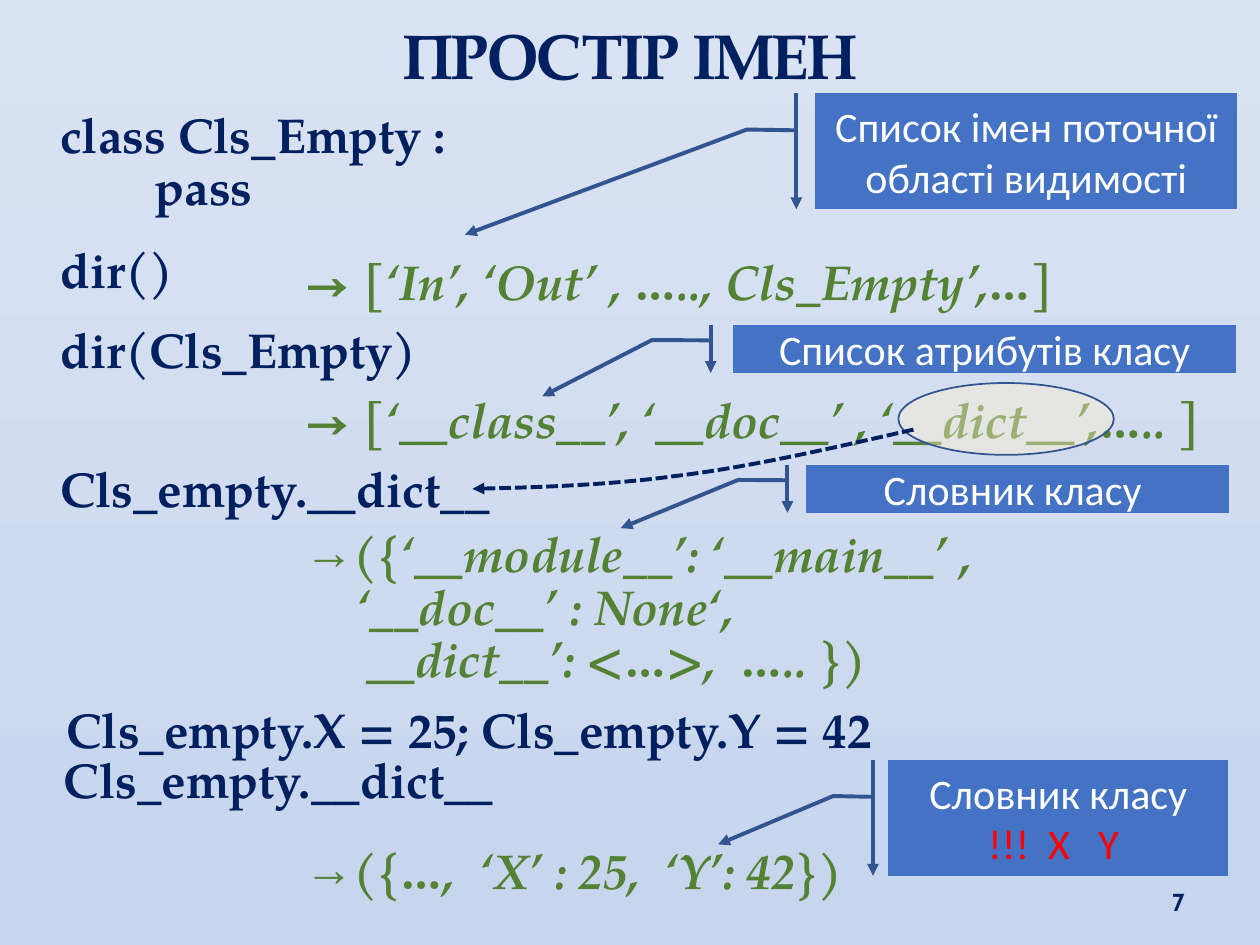
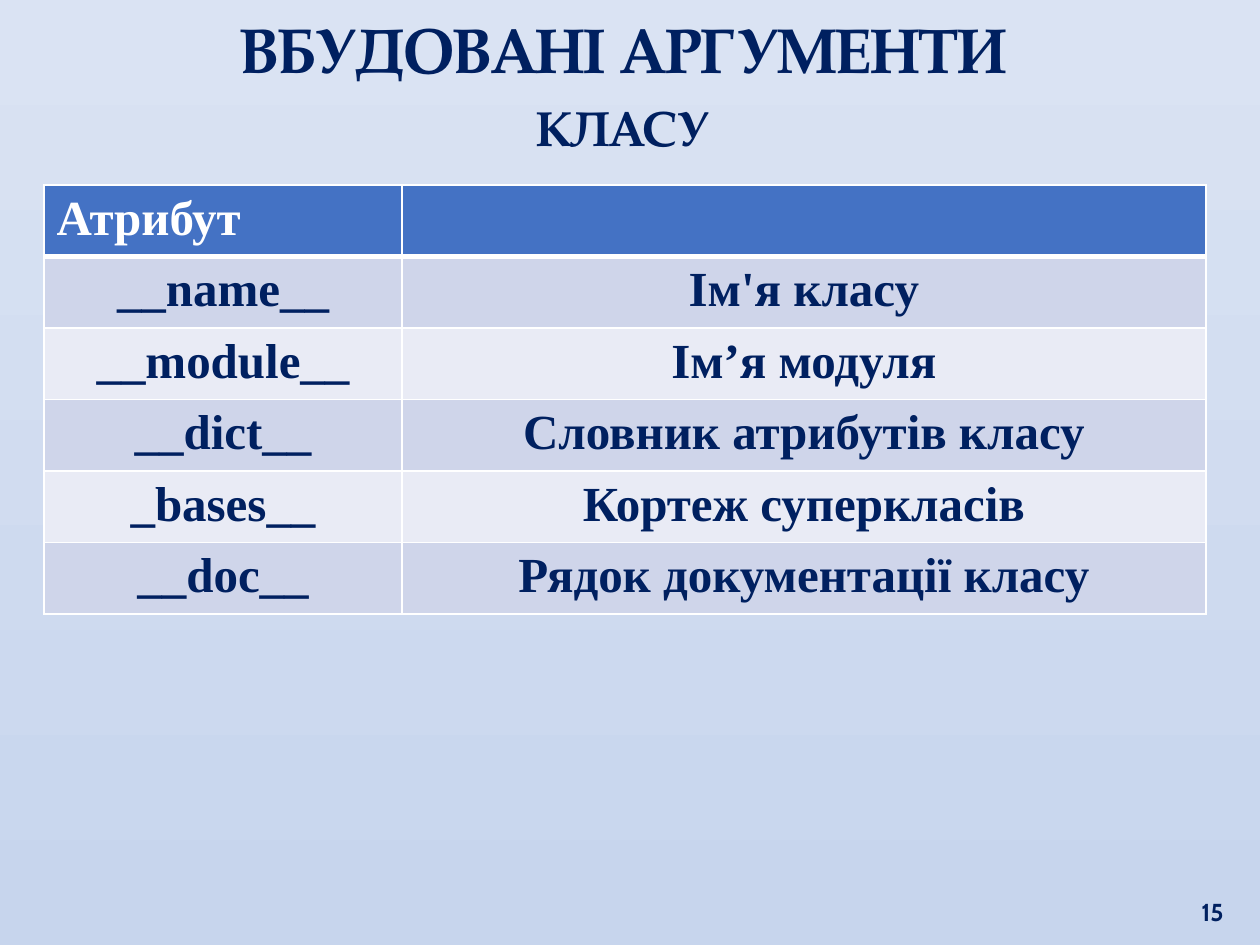
from dataclasses import dataclass, field

from lxml import etree
from pptx import Presentation
from pptx.dml.color import RGBColor
from pptx.enum.dml import MSO_LINE
from pptx.enum.shapes import MSO_SHAPE
from pptx.enum.text import MSO_ANCHOR, MSO_AUTO_SIZE, PP_ALIGN
from pptx.oxml.ns import qn
from pptx.util import Inches, Pt

LEFT, CENTER, RIGHT = PP_ALIGN.LEFT, PP_ALIGN.CENTER, PP_ALIGN.RIGHT
TOP, MIDDLE, BOTTOM = MSO_ANCHOR.TOP, MSO_ANCHOR.MIDDLE, MSO_ANCHOR.BOTTOM
GROW, FIXED = MSO_AUTO_SIZE.SHAPE_TO_FIT_TEXT, MSO_AUTO_SIZE.NONE
CALLOUT, OVAL = MSO_SHAPE.LINE_CALLOUT_2_ACCENT_BAR, MSO_SHAPE.OVAL
DASH = MSO_LINE.SQUARE_DOT
TITLE_ONLY = 5

COLORS = {
    "bg_top": "DAE3F3", "bg_bottom": "C7D5ED", "navy": "002060",
    "green": "548235", "blue": "4472C4", "outline": "325491",
    "white": "FFFFFF", "red": "FF0000", "cream": "FFF2CC",
    "band_dark": "CFD5EA", "band_light": "E9EBF5",
}

SERIF = "TeX Gyre Pagella"
FORMATS = {
    "title": dict(name=SERIF, size=Pt(36), bold=True, color="navy"),
    "subtitle": dict(name=SERIF, size=Pt(28), bold=True, color="navy"),
    "code": dict(name=SERIF, size=Pt(28), bold=True, color="navy"),
    "output": dict(name=SERIF, size=Pt(28), bold=True, italic=True, color="green"),
    "number": dict(name="Cabin", size=Pt(14), bold=True, color="navy"),
    "callout": dict(name="Calibri", size=Pt(24), color="white"),
    "alert": dict(name="Calibri", size=Pt(24), color="red"),
    "header": dict(name="Times New Roman", size=Pt(28), bold=True, color="white"),
    "cell": dict(name="Times New Roman", size=Pt(28), bold=True, color="navy"),
}


def rgb(color):
    return RGBColor.from_string(COLORS[color])


def box(*lengths):
    return [Inches(v) for v in lengths]


def sub(parent, tag, **attrs):
    return etree.SubElement(parent, qn(tag), {k: str(v) for k, v in attrs.items()})


def set_indent(p, left, first=0):
    pPr = p._p.get_or_add_pPr()
    pPr.set("marL", str(Inches(left)))
    pPr.set("indent", str(Inches(first)))
    return pPr


def set_tab(p, position):
    tabs = sub(p._p.get_or_add_pPr(), "a:tabLst")
    sub(tabs, "a:tab", pos=Inches(position), algn="l")


def set_arrow_bullet(p):
    pPr = set_indent(p, 0.19, -0.19)
    sub(pPr, "a:buFont", typeface="Times New Roman")
    sub(pPr, "a:buChar", char="→")


@dataclass
class Deck:
    prs: object = field(default_factory=Presentation)
    slide: object = None

    def setup(self):
        self.prs.slide_width, self.prs.slide_height = box(10, 7.5)
        fill = self.prs.slide_master.background.fill
        fill.gradient()
        fill.gradient_angle = 270
        for stop, color in zip(fill.gradient_stops, ("bg_top", "bg_bottom")):
            stop.color.rgb = rgb(color)

    def fill_text(self, tf, lines, align=LEFT, anchor=TOP, spacing=None, auto_size=FIXED):
        """Fill a text frame from (text, format name) pairs, one a paragraph."""
        frame = dict(word_wrap=True, vertical_anchor=anchor, auto_size=auto_size)
        for key, value in frame.items():
            setattr(tf, key, value)
        for i, (text, style) in enumerate(lines):
            p = tf.add_paragraph() if i else tf.paragraphs[0]
            self.paragraph(p, text, style, align, spacing)
        return tf.paragraphs

    def paragraph(self, p, text, style, align, spacing=None):
        p.alignment = align
        if spacing:
            p.line_spacing = Pt(spacing)
        r = p.add_run()
        r.text = text
        for key, value in FORMATS[style].items():
            if key == "color":
                r.font.color.rgb = rgb(value)
            else:
                setattr(r.font, key, value)

    def line(self, sp, color, width, arrow=False):
        sp.shadow.inherit = False
        sp.line.color.rgb = rgb(color)
        sp.line.width = Pt(width)
        if arrow:
            sub(sp.line._get_or_add_ln(), "a:tailEnd", type="triangle")

    def add_slide(self, at, lines, spacing=None):
        self.slide = self.prs.slides.add_slide(self.prs.slide_layouts[TITLE_ONLY])
        sp = self.slide.shapes.title
        sp.left, sp.top, sp.width, sp.height = box(*at)
        self.fill_text(sp.text_frame, lines, CENTER, spacing=spacing, auto_size=GROW)

    def number(self, left, top, text):
        sp = self.slide.shapes.add_textbox(*box(left, top, 0.48, 0.5))
        self.fill_text(sp.text_frame, [(text, "number")], RIGHT, BOTTOM)

    def code(self, at, *texts, style="code"):
        sp = self.slide.shapes.add_textbox(*box(*at))
        return self.fill_text(sp.text_frame, [(t, style) for t in texts],
                              spacing=30, auto_size=GROW)

    def callout(self, at, tip, *lines):
        """Add a callout whose pointer ends at tip, given as (y, x) fractions."""
        sp = self.slide.shapes.add_shape(CALLOUT, *box(*at))
        for i, value in enumerate((0.32, -0.045, 0.313, -0.162, *tip)):
            sp.adjustments[i] = value
        sp.fill.solid()
        sp.fill.fore_color.rgb = rgb("blue")
        self.line(sp, "outline", 2.25, arrow=True)
        self.fill_text(sp.text_frame, lines, CENTER, MIDDLE)

    def highlight(self, at, opacity):
        sp = self.slide.shapes.add_shape(OVAL, *box(*at))
        sp.fill.solid()
        sp.fill.fore_color.rgb = rgb("cream")
        clr = sp.element.spPr.find(qn("a:solidFill"))[0]
        sub(clr, "a:alpha", val=opacity * 1000)
        self.line(sp, "outline", 1)

    def curved_arrow(self, start, *points):
        """Draw a dashed arrow; each three points make one Bezier segment."""
        builder = self.slide.shapes.build_freeform(*box(*start))
        builder.add_line_segments([box(*pt) for pt in points], close=False)
        sp = builder.convert_to_shape()
        lines = list(sp.element.iter(qn("a:lnTo")))
        for i in range(0, len(lines), 3):
            curve = sub(lines[i].getparent(), "a:cubicBezTo")
            for ln in lines[i:i + 3]:
                curve.append(ln[0])
                ln.getparent().remove(ln)
        sp.fill.background()
        sp.line.dash_style = DASH
        self.line(sp, "navy", 2.25, arrow=True)

    def table(self, at, widths, rows):
        shape = self.slide.shapes.add_table(len(rows), len(widths), *box(*at))
        table = shape.table
        for col, width in zip(table.columns, widths):
            col.width = Inches(width)
        for i, row in enumerate(rows):
            fill = "blue" if i == 0 else "band_dark" if i % 2 else "band_light"
            for j, text in enumerate(row):
                cell = table.cell(i, j)
                cell.fill.solid()
                cell.fill.fore_color.rgb = rgb(fill)
                self.borders(cell, L=1, R=1, T=3 if i == 1 else 1, B=1 if i else 3)
                if text:
                    self.paragraph(cell.text_frame.paragraphs[0], text,
                                   "cell" if i else "header", CENTER if i else LEFT)

    def borders(self, cell, **widths):
        tcPr = cell._tc.get_or_add_tcPr()
        for i, (side, width) in enumerate(widths.items()):
            ln = sub(tcPr, f"a:ln{side}", w=Pt(width))
            sub(sub(ln, "a:solidFill"), "a:srgbClr", val=COLORS["white"])
            tcPr.insert(i, ln)


def namespace_slide(deck):
    deck.add_slide((0.12, 0.08, 9.76, 0.71), [("ПРОСТІР ІМЕН", "title")])
    deck.number(9.02, 6.82, "7")

    class_lines = deck.code((0.38, 0.83, 3.43, 0.94), "class Cls_Empty :", "\tpass")
    set_tab(class_lines[1], 0.75)
    for left, top, width, text in (
        (0.38, 1.9, 3.12, "dir()"),
        (0.38, 2.54, 3.12, "dir(Cls_Empty)"),
        (0.38, 3.64, 3.83, "Cls_empty.__dict__"),
        (0.43, 5.55, 6.7, "Cls_empty.X = 25; Cls_empty.Y = 42"),
        (0.41, 5.95, 3.83, "Cls_empty.__dict__"),
    ):
        deck.code((left, top, width, 0.52), text)

    for top, text in (
        (2, "→ [‘In’, ‘Out’ , ….., Cls_Empty’,…]"),
        (3.09, "→ [‘__class__’, ‘__doc__’ , ‘__dict__’,….. ]"),
    ):
        deck.code((2.32, top, 7.49, 0.52), text, style="output")
    class_dict = deck.code(
        (2.32, 4.16, 7.49, 1.37), "({‘__module__’: ‘__main__’ ,",
        "‘__doc__’ : None‘,", "__dict__’: <…>,  ….. })", style="output")
    set_indent(class_dict[1], 0.41)
    set_indent(class_dict[2], 0.49)
    new_dict = deck.code((2.32, 6.67, 7.49, 0.53),
                         "({…,  ‘X’ : 25,  ‘Y’: 42})", style="output")
    for p in (class_dict[0], new_dict[0]):
        set_arrow_bullet(p)

    deck.callout((6.47, 0.74, 3.35, 0.92), (1.22, -0.83),
                 ("Список імен поточної області видимості", "callout"))
    deck.callout((5.82, 2.58, 3.99, 0.38), (1.49, -0.38),
                 ("Список атрибутів класу", "callout"))
    deck.callout((6.4, 3.69, 3.35, 0.38), (1.32, -0.44),
                 ("Словник класу ", "callout"))
    deck.callout((7.05, 6.03, 2.7, 0.92), (0.73, -0.5),
                 ("Словник класу", "callout"), ("!!!  X   Y ", "alert"))
    deck.highlight((7.13, 3.04, 1.71, 0.57), opacity=42)
    deck.curved_arrow((7.25, 3.41), (6.59, 3.56), (5.94, 3.71), (5.35, 3.78),
                      (4.77, 3.86), (3.75, 3.88), (3.75, 3.88))


def attributes_slide(deck):
    deck.add_slide((0, 0.08, 9.88, 1.22),
                   [("ВБУДОВАНІ АРГУМЕНТИ", "title"), ("КЛАСУ", "subtitle")],
                   spacing=40)
    deck.number(9.33, 6.9, "15")
    deck.table((0.35, 1.47, 9.22, 3.4), (2.84, 6.38), (
        ("Атрибут", ""),
        ("__name__", "Ім'я класу"),
        ("__module__", "Ім’я модуля"),
        ("__dict__", "Словник атрибутів класу"),
        ("_bases__", "Кортеж суперкласів"),
        ("__doc__", "Рядок документації класу"),
    ))


def main():
    deck = Deck()
    deck.setup()
    namespace_slide(deck)
    attributes_slide(deck)
    deck.prs.save("out.pptx")


if __name__ == "__main__":
    main()
